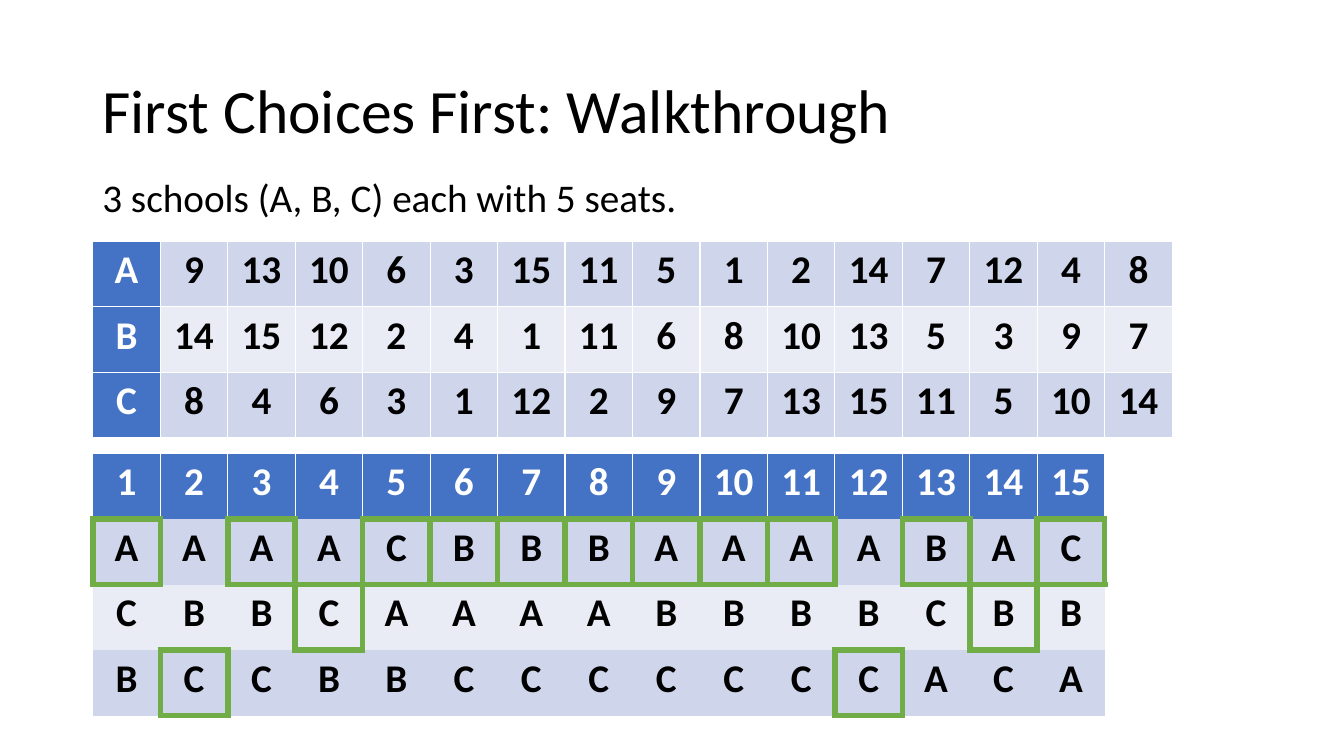
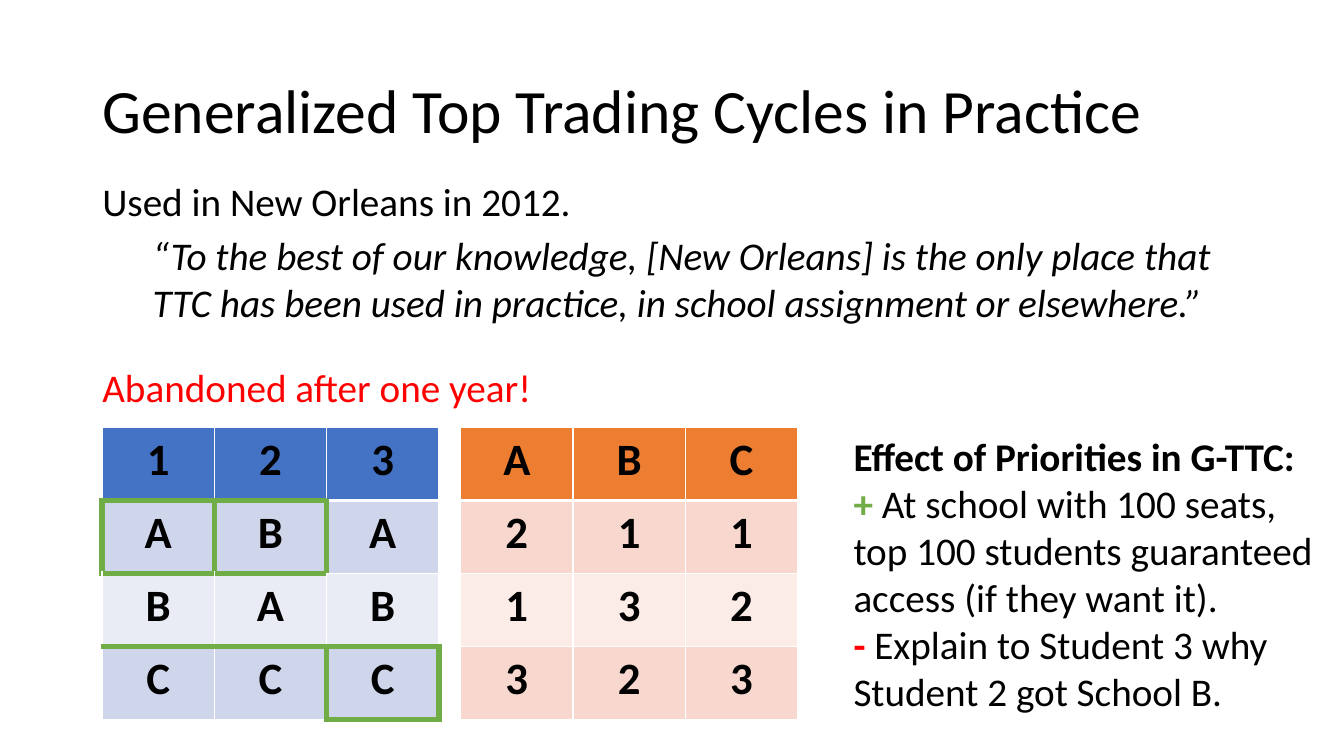
from lxml import etree
from pptx import Presentation
from pptx.dml.color import RGBColor
from pptx.enum import text as t
from pptx.oxml import ns
from pptx.util import Cm, Pt

BLACK = RGBColor(0x00, 0x00, 0x00)
WHITE = RGBColor(0xFF, 0xFF, 0xFF)
RED = RGBColor(0xFF, 0x00, 0x00)
GREEN = RGBColor(0x70, 0xAD, 0x47)
BLUES = (RGBColor(0x44, 0x72, 0xC4), RGBColor(0xCF, 0xD5, 0xEA), RGBColor(0xE9, 0xEB, 0xF5))
ORANGES = (RGBColor(0xED, 0x7D, 0x31), RGBColor(0xF8, 0xD7, 0xCE), RGBColor(0xFC, 0xEC, 0xE8))

FONT = "Calibri"
TITLE_SIZE, TEXT_SIZE, LARGE_SIZE = 44, 28, 32
THIN, HEADER_RULE, THICK = 1, 3, 4.5
NEIGHBOURS = {"L": (0, -1), "R": (0, 1), "T": (-1, 0), "B": (1, 0)}

PRIORITIES = [
    "A 9 13 10 6 3 15 11 5 1 2 14 7 12 4 8",
    "B 14 15 12 2 4 1 11 6 8 10 13 5 3 9 7",
    "C 8 4 6 3 1 12 2 9 7 13 15 11 5 10 14",
]
PREFERENCES = [
    "1 2 3 4 5 6 7 8 9 10 11 12 13 14 15",
    "A A A A C B B B A A A A B A C",
    "C B B C A A A A B B B B C B B",
    "B C C B B C C C C C C C A C A",
]
ASSIGNED_ROWS = [1, 3, 1, 2, 1, 1, 1, 1, 1, 1, 1, 3, 1, 2, 1]


def style_run(run, size=TEXT_SIZE, color=BLACK, bold=False, italic=False):
    run.font.name = FONT
    run.font.size = Pt(size)
    run.font.color.rgb = color
    run.font.bold = bold
    run.font.italic = italic


def add_titled_slide(presentation, title):
    slide = presentation.slides.add_slide(presentation.slide_layouts[5])
    shape = slide.shapes.title
    shape.left, shape.top, shape.width, shape.height = Cm(2.33), Cm(1.01), Cm(29.21), Cm(3.68)
    frame = shape.text_frame
    frame.text = title
    frame.vertical_anchor = t.MSO_ANCHOR.MIDDLE
    paragraph = frame.paragraphs[0]
    paragraph.alignment = t.PP_ALIGN.LEFT
    paragraph.line_spacing = 0.9
    style_run(paragraph.runs[0], TITLE_SIZE)
    return slide


def add_text_box(slide, left, top, width, height, paragraphs):
    frame = slide.shapes.add_textbox(Cm(left), Cm(top), Cm(width), Cm(height)).text_frame
    frame.word_wrap = True
    for index, runs in enumerate(paragraphs):
        paragraph = frame.add_paragraph() if index else frame.paragraphs[0]
        for words, style in runs:
            run = paragraph.add_run()
            run.text = words
            style_run(run, **style)
    return frame


def set_border(cell, side, color, width):
    properties = cell._tc.get_or_add_tcPr()
    line = etree.SubElement(properties, ns.qn(f"a:ln{side}"), w=str(int(Pt(width))))
    if width:
        fill = etree.SubElement(line, ns.qn("a:solidFill"))
        etree.SubElement(fill, ns.qn("a:srgbClr"), val=str(color))
    else:
        etree.SubElement(line, ns.qn("a:noFill"))


def rule_width(row, side, header_rule, body_rule):
    if (row, side) in ((0, "B"), (1, "T")):
        return header_rule
    return THIN if row == 0 else body_rule


def add_grid(slide, left, top, column_width, row_height, lines, palette, size=TEXT_SIZE,
             header_color=WHITE, header_column=False, header_rule=THIN, body_rule=THIN,
             boxed=(), underlined=()):
    rows = [line.split() for line in lines]
    columns = len(rows[0])
    table = slide.shapes.add_table(
        len(rows), columns, Cm(left), Cm(top),
        Cm(column_width * columns), Cm(row_height * len(rows))).table
    table.first_row = table.horz_banding = False
    for column in table.columns:
        column.width = Cm(column_width)
    header, *bands = palette
    for row, values in enumerate(rows):
        table.rows[row].height = Cm(row_height)
        for column, value in enumerate(values):
            cell = table.cell(row, column)
            for side, (down, across) in NEIGHBOURS.items():
                neighbour = (row + down, column + across)
                green = (row, column) in boxed or neighbour in boxed
                green |= side == "B" and (row, column) in underlined
                green |= side == "T" and neighbour in underlined
                if green:
                    set_border(cell, side, GREEN, THICK)
                else:
                    set_border(cell, side, WHITE, rule_width(row, side, header_rule, body_rule))
            is_header = column == 0 if header_column else row == 0
            band = row if header_column else row - 1
            cell.fill.solid()
            cell.fill.fore_color.rgb = header if is_header else bands[band % 2]
            cell.text_frame.text = value
            paragraph = cell.text_frame.paragraphs[0]
            paragraph.alignment = t.PP_ALIGN.CENTER
            style_run(paragraph.runs[0], size, header_color if is_header else BLACK, bold=True)


def build_walkthrough(presentation):
    slide = add_titled_slide(presentation, "First Choices First: Walkthrough")
    add_text_box(slide, 2.33, 4.24, 15.16, 1.45,
                 [[("3 schools (A, B, C) each with 5 seats.", {})]])
    add_grid(slide, 2.34, 6.08, 1.7, 1.65, PRIORITIES, BLUES, header_column=True)
    assigned = {(row, column) for column, row in enumerate(ASSIGNED_ROWS)}
    add_grid(slide, 2.34, 11.43, 1.7, 1.65, PREFERENCES, BLUES,
             header_rule=0, body_rule=0, boxed=assigned)


def build_practice(presentation):
    slide = add_titled_slide(presentation, "Generalized Top Trading Cycles in Practice")
    quote = ("“To the best of our knowledge, [New Orleans] is the only place that TTC has been "
             "used in practice, in school assignment or elsewhere.”")
    frame = add_text_box(slide, 2.33, 3.75, 29.6, 6.76, [
        [("Used in New Orleans in 2012.", {})],
        [(quote, {"italic": True})],
        [("Abandoned after one year!", {"color": RED})],
    ])
    used, quoted, abandoned = frame.paragraphs
    used.line_spacing = abandoned.line_spacing = 1.5
    quoted.space_before, abandoned.space_before = Pt(5), Pt(10)
    quoted._p.get_or_add_pPr().set("marL", str(int(Cm(1.27))))

    grid = {"size": LARGE_SIZE, "header_color": BLACK, "header_rule": HEADER_RULE}
    add_grid(slide, 11.61, 10.77, 2.83, 1.84, ["A B C", "2 1 1", "1 3 2", "3 2 3"],
             ORANGES, **grid)
    add_grid(slide, 2.57, 10.77, 2.83, 1.84, ["1 2 3", "A B A", "B A B", "C C C"], BLUES,
             boxed={(1, 0), (1, 1), (3, 2)}, underlined={(2, 0), (2, 1)}, **grid)
    add_text_box(slide, 21.26, 10.77, 12.12, 7.44, [
        [("Effect of Priorities in G-TTC: ", {"bold": True}),
         ("+", {"color": GREEN, "bold": True}),
         (" At school with 100 seats, top 100 students guaranteed access (if they want it).", {})],
        [("-", {"color": RED, "bold": True}),
         (" Explain to Student 3 why Student 2 got School B.", {})],
    ])


def main():
    presentation = Presentation()
    presentation.slide_width, presentation.slide_height = Cm(33.87), Cm(19.05)
    build_walkthrough(presentation)
    build_practice(presentation)
    presentation.save("out.pptx")


if __name__ == "__main__":
    main()
